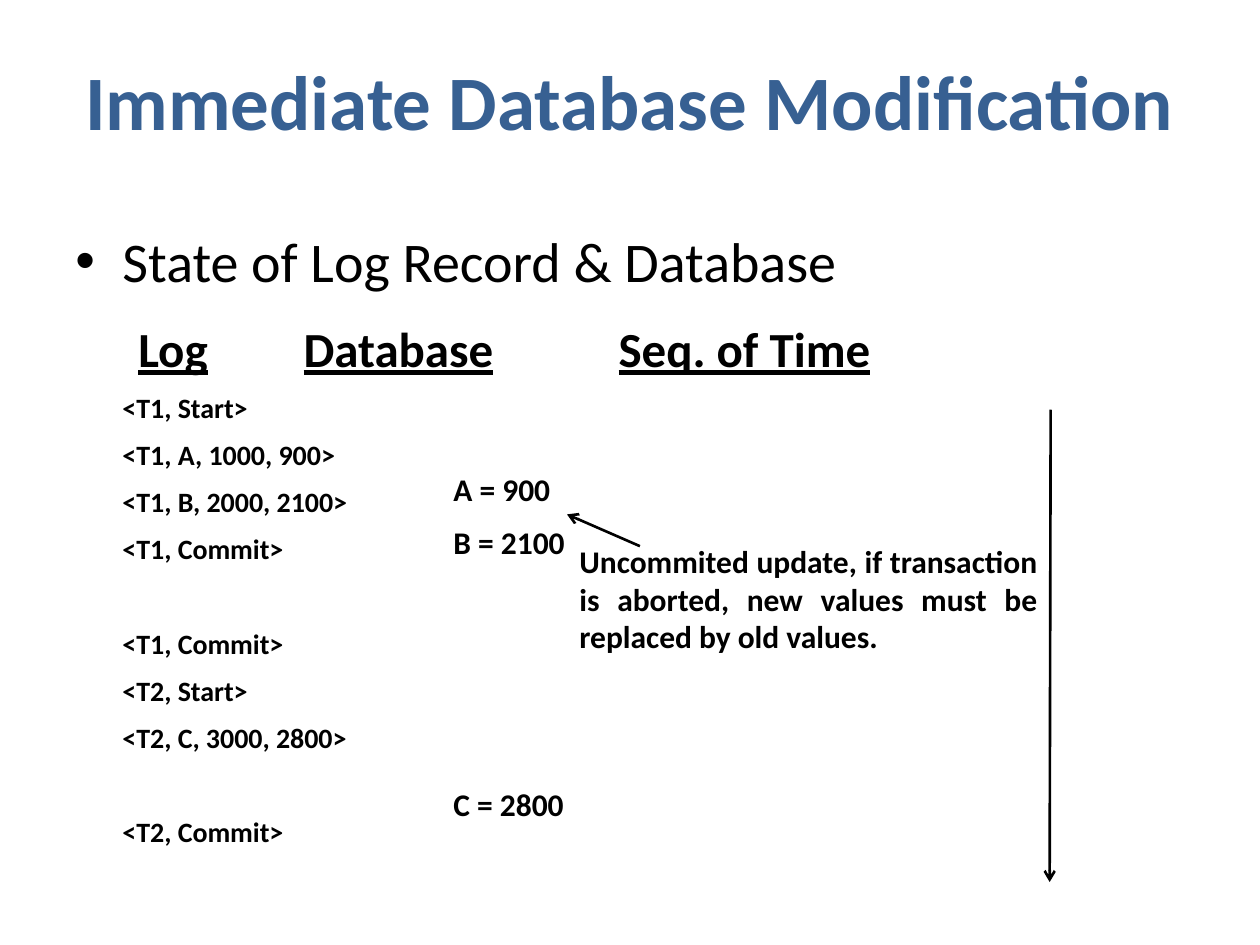
import pptx
import pptx.util
import pptx.dml.color
import pptx.enum.shapes
import pptx.enum.text
import pptx.oxml.ns
import lxml.etree

Cm = pptx.util.Cm
Pt = pptx.util.Pt
BLUE = pptx.dml.color.RGBColor(0x37, 0x60, 0x92)
BLACK = pptx.dml.color.RGBColor(0, 0, 0)
JUSTIFY = pptx.enum.text.PP_ALIGN.JUSTIFY
ROW_SPACING = 7.65
ROW_HEIGHT = 27.2

deck = pptx.Presentation()
deck.slide_width = Cm(25.4)
deck.slide_height = Cm(19.05)
page = deck.slides.add_slide(deck.slide_layouts[6])


def add_box(left, top, width, height):
    box = page.shapes.add_textbox(Cm(left), Cm(top), Cm(width), Cm(height))
    box.text_frame.word_wrap = True
    return box.text_frame


def write(para, text, size, bold=True, color=BLACK, align=JUSTIFY):
    para.text = text
    para.alignment = align
    para.font.name = "Calibri"
    para.font.size = Pt(size)
    para.font.bold = bold
    para.font.color.rgb = color


title = add_box(1.27, 0.43, 22.86, 3.18)
title.vertical_anchor = pptx.enum.text.MSO_ANCHOR.MIDDLE
write(title.paragraphs[0], "Immediate Database Modification", 44,
      color=BLUE, align=pptx.enum.text.PP_ALIGN.CENTER)

body = add_box(1.27, 4.45, 22.86, 13.77)
topic = body.paragraphs[0]
write(topic, "State of Log Record & Database", 32, bold=False)
properties = topic._p.get_or_add_pPr()
properties.set("marL", str(Cm(0.95)))
properties.set("indent", str(Cm(-0.95)))
font = lxml.etree.SubElement(properties, pptx.oxml.ns.qn("a:buFont"))
font.set("typeface", "Arial")
bullet = lxml.etree.SubElement(properties, pptx.oxml.ns.qn("a:buChar"))
bullet.set("char", "•")

headings = body.add_paragraph()
write(headings, "Log\t\tDatabase\t\tSeq. of Time", 28)
headings.font.underline = True
headings.space_before = Pt(14)
properties = headings._p.get_or_add_pPr()
properties.set("marL", str(Cm(2.06)))
properties.set("indent", str(Cm(-0.79)))

# Each log record with the number of empty rows above it
log_records = [
    ("<T1, Start>", 0),
    ("<T1, A, 1000, 900>", 0),
    ("<T1, B, 2000, 2100>", 0),
    ("<T1, Commit>", 0),
    ("<T1, Commit>", 1),
    ("<T2, Start>", 0),
    ("<T2, C, 3000, 2800>", 0),
    ("<T2, Commit>", 1),
]
for record, empty_rows in log_records:
    para = body.add_paragraph()
    write(para, record, 16)
    para.space_before = Pt(ROW_SPACING + empty_rows * ROW_HEIGHT)
    para._p.get_or_add_pPr().set("marL", str(Cm(0.95)))

time_arrow = (21.18, 8.26, 21.16, 17.78)
note_arrow = (12.9, 11.01, 11.43, 10.37)
for ends in (time_arrow, note_arrow):
    arrow = page.shapes.add_connector(
        pptx.enum.shapes.MSO_CONNECTOR.STRAIGHT, *[Cm(value) for value in ends])
    arrow.line.color.rgb = BLACK
    arrow.line.width = Pt(1.5)
    line = arrow.line._get_or_add_ln()
    lxml.etree.SubElement(line, pptx.oxml.ns.qn("a:tailEnd")).set("type", "arrow")
    lxml.etree.SubElement(arrow._element.spPr, pptx.oxml.ns.qn("a:effectLst"))

note = add_box(11.43, 10.8, 9.74, 2.57)
write(note.paragraphs[0], "Uncommited update, if transaction is aborted, "
      "new values must be replaced by old values.", 18)

for value, top in (("A = 900", 9.35), ("B = 2100", 10.41), ("C = 2800", 15.7)):
    write(add_box(8.89, top, 2.97, 1.02).paragraphs[0], value, 18)

deck.save("out.pptx")
